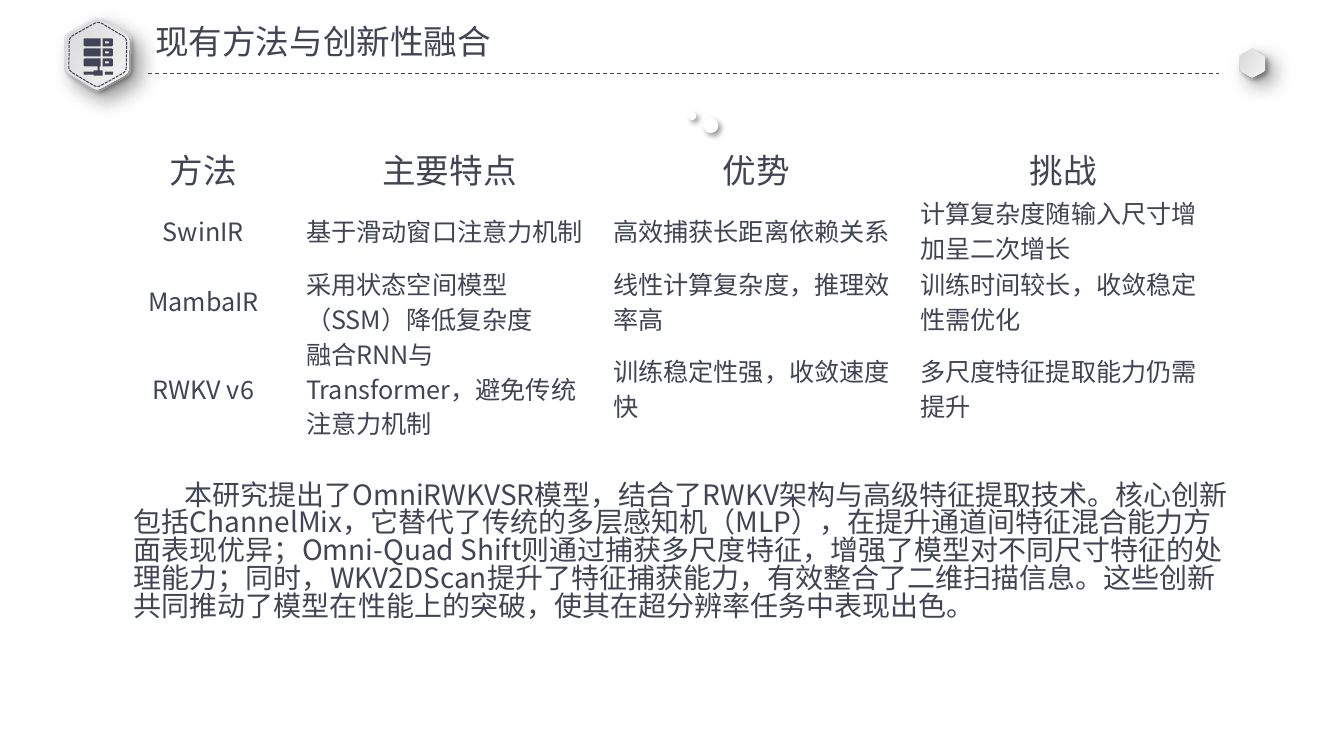
from math import cos, pi, sin, sqrt

from lxml.etree import SubElement
from pptx import Presentation
from pptx.dml.color import RGBColor
from pptx.enum.dml import MSO_LINE
from pptx.enum.shapes import MSO_CONNECTOR, MSO_SHAPE
from pptx.enum.text import MSO_ANCHOR, MSO_AUTO_SIZE, PP_ALIGN
from pptx.oxml.ns import qn
from pptx.util import Inches, Pt

INK = "414455"
FONT = "Noto Sans CJK SC"
METHODS = [
    ("方法", "主要特点", "优势", "挑战"),
    ("SwinIR", "基于滑动窗口注意力机制", "高效捕获长距离依赖关系", "计算复杂度随输入尺寸增加呈二次增长"),
    ("MambaIR", "采用状态空间模型（SSM）降低复杂度", "线性计算复杂度，推理效率高", "训练时间较长，收敛稳定性需优化"),
    ("RWKV v6", "融合RNN与Transformer，避免传统注意力机制", "训练稳定性强，收敛速度快", "多尺度特征提取能力仍需提升"),
]
SUMMARY = (
    "本研究提出了OmniRWKVSR模型，结合了RWKV架构与高级特征提取技术。"
    "核心创新包括ChannelMix，它替代了传统的多层感知机（MLP），在提升通道间特征混合能力方面表现优异；"
    "Omni-Quad Shift则通过捕获多尺度特征，增强了模型对不同尺寸特征的处理能力；"
    "同时，WKV2DScan提升了特征捕获能力，有效整合了二维扫描信息。"
    "这些创新共同推动了模型在性能上的突破，使其在超分辨率任务中表现出色。"
)


def color(hex_string):
    """Turn a hex string into a colour."""
    return RGBColor.from_string(hex_string)


def add_text(paragraph, text, size, spacing):
    """Add one run in the slide's font and ink."""
    paragraph.line_spacing = spacing
    run = paragraph.add_run()
    run.text = text
    run.font.size = Pt(size)
    run.font.bold = False
    run.font.name = FONT
    run.font.color.rgb = color(INK)
    SubElement(run.font._element, qn("a:ea"), typeface=FONT)


def add_shadow(shape, blur, distance):
    """Give a shape a soft shadow towards the lower right."""
    shape.shadow.inherit = False
    effects = shape._element.spPr.find(qn("a:effectLst"))
    shadow = SubElement(effects, qn("a:outerShdw"), blurRad=str(Pt(blur)), dist=str(Pt(distance)),
                        dir="2700000", algn="tl", rotWithShape="0")
    black = SubElement(shadow, qn("a:srgbClr"), val="000000")
    SubElement(black, qn("a:alpha"), val="40000")


def add_outline(slide, contours):
    """Draw closed contours, given in inches, as one shape."""
    contours = [[(Inches(x), Inches(y)) for x, y in contour] for contour in contours]
    builder = slide.shapes.build_freeform(*contours[0][0])
    builder.add_line_segments(contours[0][1:])
    for contour in contours[1:]:
        builder.move_to(*contour[0])
        builder.add_line_segments(contour[1:])
    outline = builder.convert_to_shape()
    outline.shadow.inherit = False
    outline.line.fill.background()
    return outline


def add_hexagon(slide, center_x, center_y, height):
    """Draw a hexagon with rounded corners, standing on a point."""
    radius = height / sqrt(3)
    corners = [(center_x + radius * cos(k * pi / 3), center_y + radius * sin(k * pi / 3))
               for k in range(6)]
    points = []
    for k, corner in enumerate(corners):
        start, end = ([c + 0.13 * (n - c) for c, n in zip(corner, neighbor)]
                      for neighbor in (corners[k - 1], corners[(k + 1) % 6]))
        for t in (0, 0.25, 0.5, 0.75, 1):
            points.append([(1 - t) ** 2 * s + 2 * t * (1 - t) * c + t * t * e
                           for s, c, e in zip(start, corner, end)])
    hexagon = add_outline(slide, [points])
    hexagon.rotation = 30.9
    return hexagon


def add_badge(slide, center_x, center_y, height):
    """Stack two shaded hexagons into a raised badge."""
    for scale, angle, blur, distance in ((1, 90, 15, 9), (0.94, 0, 4, 3)):
        plate = add_hexagon(slide, center_x, center_y, height * scale)
        plate.fill.gradient()
        plate.fill.gradient_angle = angle
        for stop, shade in zip(plate.fill.gradient_stops, ("D3D3D3", "F9F9F9")):
            stop.color.rgb = color(shade)
        add_shadow(plate, blur, distance)


def add_server_icon(slide, left, top):
    """Draw three server units on a network stem."""
    def block(x1, y1, x2, y2, cut_left=0, cut_right=0):
        """List the corners of a block, cut at the left or right."""
        return [(left + x, top + y) for x, y in (
            (x1 + cut_left, y1), (x2 - cut_right, y1), (x2, y1 + cut_right), (x2, y2 - cut_right),
            (x2 - cut_right, y2), (x1 + cut_left, y2), (x1, y2 - cut_left), (x1, y1 + cut_left))]

    contours = []
    for y in (0, 0.1, 0.2):
        contours += [block(0, y, 0.17, y + 0.08, cut_left=0.01),
                     block(0.19, y, 0.29, y + 0.08, cut_right=0.01),
                     block(0.21, y + 0.03, 0.25, y + 0.05)]
    contours += [block(0.14, 0.28, 0.16, 0.32), block(0.1, 0.32, 0.19, 0.37),
                 block(0, 0.33, 0.1, 0.36), block(0.21, 0.33, 0.29, 0.36)]
    icon = add_outline(slide, contours)
    icon.fill.solid()
    icon.fill.fore_color.rgb = color(INK)


def add_header(slide, left, top, width):
    """Place the badges, title and dashed rule across the top."""
    badge_x, badge_y = left + 0.37, top + 0.33
    add_badge(slide, badge_x, badge_y, 0.66)
    stitching = add_hexagon(slide, badge_x, badge_y, 0.57)
    stitching.fill.background()
    stitching.line.color.rgb = color(INK)
    stitching.line.width = Pt(0.75)
    stitching.line.dash_style = MSO_LINE.SQUARE_DOT
    add_server_icon(slide, left + 0.23, top + 0.17)

    title = slide.shapes.title
    title.left, title.top = Inches(left + 0.87), Inches(top + 0.02)
    title.width, title.height = Inches(3.78), Inches(0.48)
    frame = title.text_frame
    frame.auto_size = MSO_AUTO_SIZE.NONE
    frame.vertical_anchor = MSO_ANCHOR.TOP
    frame.margin_left = frame.margin_right = Inches(0.07)
    frame.margin_top = frame.margin_bottom = Inches(0.04)
    frame.paragraphs[0].alignment = PP_ALIGN.LEFT
    add_text(frame.paragraphs[0], "现有方法与创新性融合", 24, 0.83)

    rule_y = Inches(top + 0.52)
    rule = slide.shapes.add_connector(MSO_CONNECTOR.STRAIGHT, Inches(left + 0.87), rule_y,
                                      Inches(left + width - 0.47), rule_y)
    rule.line.color.rgb = color(INK)
    rule.line.width = Pt(0.75)
    rule.line.dash_style = MSO_LINE.DASH
    SubElement(rule._element.spPr, qn("a:effectLst"))
    add_badge(slide, left + width - 0.14, top + 0.42, 0.26)


def add_dots(slide, left, top):
    """Place the two small raised dots."""
    for x, y, size in ((0, 0, 0.08), (0.15, 0.06, 0.15)):
        dot = slide.shapes.add_shape(MSO_SHAPE.OVAL, Inches(left + x), Inches(top + y),
                                     Inches(size), Inches(size))
        dot.fill.solid()
        dot.fill.fore_color.rgb = color("FFFFFF")
        dot.line.fill.background()
        add_shadow(dot, 4, 3)


def add_methods(slide, left, top, width):
    """Place the table that compares the methods."""
    heights = (0.52, 0.7, 0.7, 1)
    table = slide.shapes.add_table(len(METHODS), len(METHODS[0]), Inches(left), Inches(top),
                                   Inches(width), Inches(sum(heights))).table
    table.first_row = table.horz_banding = False
    for column, share in zip(table.columns, (1.84, 3.05, 3.05, 3.05)):
        column.width = Inches(width * share / 10.99)
    for r, (texts, height) in enumerate(zip(METHODS, heights)):
        table.rows[r].height = Inches(height)
        for c, text in enumerate(texts):
            cell = table.cell(r, c)
            cell.fill.background()
            cell.vertical_anchor = MSO_ANCHOR.MIDDLE
            cell.margin_top = cell.margin_bottom = 0
            paragraph = cell.text_frame.paragraphs[0]
            paragraph.alignment = PP_ALIGN.CENTER if r == 0 or c == 0 else PP_ALIGN.LEFT
            add_text(paragraph, text, 18 if r else 24, 0.95)


def add_summary(slide, left, top, width, height):
    """Place the closing paragraph with its first line indented."""
    frame = slide.shapes.add_textbox(Inches(left), Inches(top), Inches(width),
                                     Inches(height)).text_frame
    frame.word_wrap = True
    paragraph = frame.paragraphs[0]
    paragraph._p.get_or_add_pPr().set("indent", str(Inches(0.5)))
    add_text(paragraph, SUMMARY, 20, 0.83)


def main():
    """Build and save the slide."""
    deck = Presentation()
    deck.slide_width, deck.slide_height = Inches(13.34), Inches(7.5)
    slide = deck.slides.add_slide(deck.slide_layouts[5])
    add_header(slide, 0.6, 0.21, 11.97)
    add_dots(slide, 6.83, 1.11)
    add_methods(slide, 1.1, 1.42, 10.98)
    add_summary(slide, 1.23, 4.74, 11.1, 1.78)
    deck.save("out.pptx")


if __name__ == "__main__":
    main()
